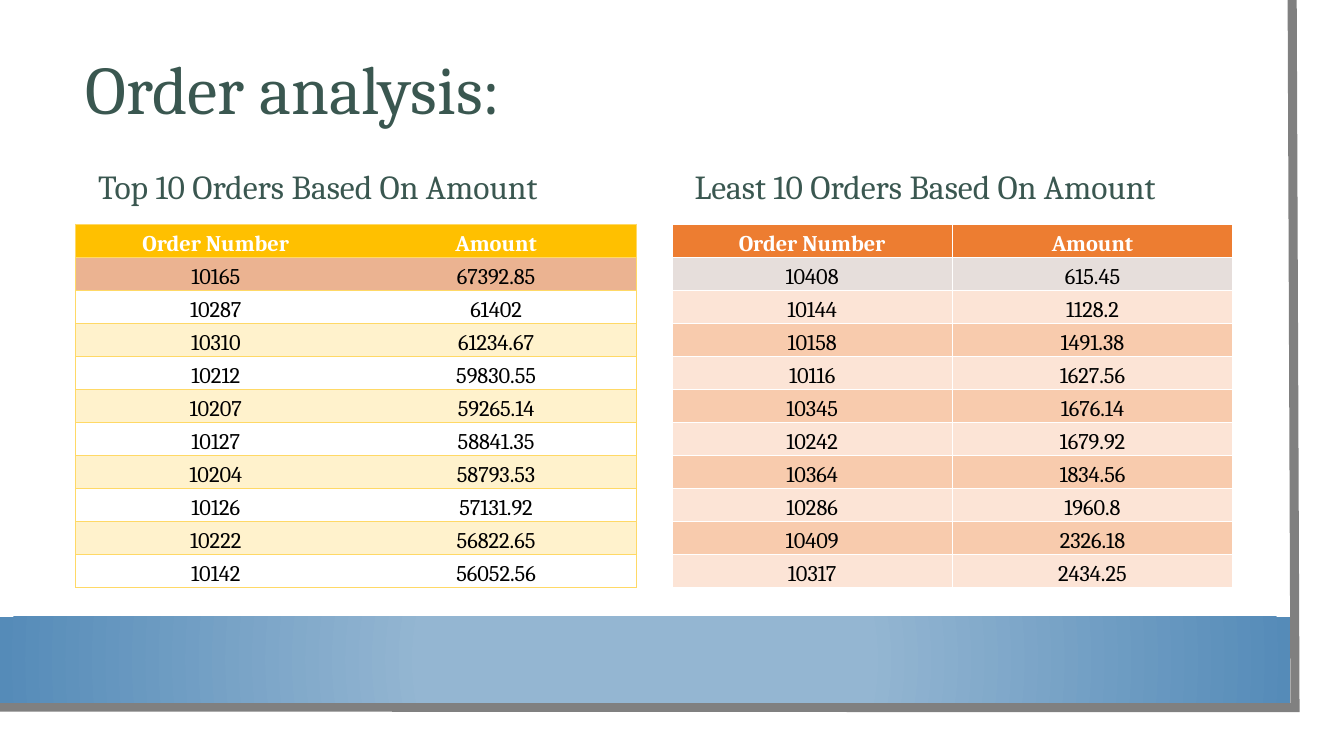
from lxml.etree import SubElement
from pptx import Presentation
from pptx.dml.color import RGBColor
from pptx.enum.shapes import MSO_SHAPE
from pptx.enum.text import MSO_ANCHOR, PP_ALIGN
from pptx.oxml.ns import qn
from pptx.util import Pt

FONT = "Cambria"
INK = "3A5750"
TOP_ORDERS = [
    ("10165", "67392.85"), ("10287", "61402"), ("10310", "61234.67"),
    ("10212", "59830.55"), ("10207", "59265.14"), ("10127", "58841.35"),
    ("10204", "58793.53"), ("10126", "57131.92"), ("10222", "56822.65"),
    ("10142", "56052.56"),
]
LEAST_ORDERS = [
    ("10408", "615.45"), ("10144", "1128.2"), ("10158", "1491.38"),
    ("10116", "1627.56"), ("10345", "1676.14"), ("10242", "1679.92"),
    ("10364", "1834.56"), ("10286", "1960.8"), ("10409", "2326.18"),
    ("10317", "2434.25"),
]
# Each palette: header, first row, even rows, odd rows, rules, column divider
TOP_COLOURS = ("FFC000", "EBB391", None, "FFF2CC", "FFD966", None)
LEAST_COLOURS = ("ED7D31", "E6DEDB", "FCE4D6", "F8CBAD", "FFFFFF", "FFFFFF")


def colour(code):
    return RGBColor.from_string(code)


def paint(fill, code):
    """Fill with a colour, or leave clear when there is none."""
    if code is None:
        fill.background()
    else:
        fill.solid()
        fill.fore_color.rgb = colour(code)


def style(paragraph, size, code, bold=False):
    font = paragraph.font
    font.name, font.size, font.bold = FONT, Pt(size), bold
    font.color.rgb = colour(code)


def add_rectangle(slide, left, top, width, height):
    rectangle = slide.shapes.add_shape(
        MSO_SHAPE.RECTANGLE, Pt(left), Pt(top), Pt(width), Pt(height))
    rectangle.shadow.inherit = False
    rectangle.line.fill.background()
    return rectangle


def add_frame(slide, width, height):
    """White sheet with a grey edge and a blue band along its foot."""
    sheet = add_rectangle(slide, 0, 0, width, height)
    paint(sheet.fill, "FFFFFF")

    outline = slide.shapes.build_freeform(Pt(width - 20), 0)
    outline.add_line_segments(
        [(Pt(width - 18), Pt(height - 18)), (Pt(-2), Pt(height - 18.5))],
        close=False)
    edge = outline.convert_to_shape()
    edge.shadow.inherit = False
    edge.fill.background()
    edge.line.width = Pt(6.5)
    edge.line.color.rgb = colour("808080")
    SubElement(edge.line.fill._xPr, qn("a:miter"), lim="800000")

    band = add_rectangle(slide, 0, height - 82.8, width - 21.6, 61.2)
    band.fill.gradient()
    for stop, (position, code) in zip(
            band.fill.gradient_stops, [(0.34, "94B6D2"), (1, "558BB8")]):
        stop.position = position
        stop.color.rgb = colour(code)
    gradient = band._element.spPr.find(qn("a:gradFill"))
    gradient.remove(gradient.find(qn("a:lin")))
    circle = SubElement(gradient, qn("a:path"), path="circle")
    SubElement(circle, qn("a:fillToRect"),
               l="50000", t="50000", r="50000", b="50000")


def add_heading(slide, text, left, top, width, height, size, anchor):
    frame = slide.shapes.add_textbox(
        Pt(left), Pt(top), Pt(width), Pt(height)).text_frame
    frame.word_wrap = True
    frame.vertical_anchor = anchor
    heading = frame.paragraphs[0]
    heading.text = text
    heading.line_spacing = 0.9
    style(heading, size, INK)


def add_border(cell, side, code):
    properties = cell._tc.get_or_add_tcPr()
    border = SubElement(properties, qn(f"a:ln{side}"), w=str(Pt(0.5)))
    if code is None:
        SubElement(border, qn("a:noFill"))
    else:
        solid = SubElement(border, qn("a:solidFill"))
        SubElement(solid, qn("a:srgbClr"), val=code)


def add_orders_table(slide, orders, palette, left, top, width, height):
    header, first, even, odd, rule, divider = palette
    rows = [("Order Number", "Amount")] + orders
    table = slide.shapes.add_table(
        len(rows), 2, Pt(left), Pt(top), Pt(width), Pt(height)).table
    for row, values in enumerate(rows):
        table.rows[row].height = Pt(height / len(rows))
        row_fill = {0: header, 1: first}.get(row, odd if row % 2 else even)
        for column, value in enumerate(values):
            cell = table.cell(row, column)
            add_border(cell, "L", divider if column else rule)
            add_border(cell, "R", rule if column else divider)
            add_border(cell, "T", rule)
            add_border(cell, "B", rule)
            paint(cell.fill, row_fill)
            cell.margin_left = cell.margin_right = cell.margin_top = Pt(0.7)
            cell.margin_bottom = 0
            cell.vertical_anchor = MSO_ANCHOR.BOTTOM
            entry = cell.text_frame.paragraphs[0]
            entry.text = value
            entry.alignment = PP_ALIGN.CENTER
            style(entry, 16, "000000" if row else "FFFFFF", bold=row == 0)


def add_orders_panel(slide, title, orders, palette, left, top, width, height):
    """Heading over its table of orders."""
    add_heading(slide, title, left + 9, top, width - 17, 40.3, 24,
                MSO_ANCHOR.BOTTOM)
    add_orders_table(slide, orders, palette, left, top + 49, width, height - 49)


def main():
    presentation = Presentation()
    presentation.slide_width, presentation.slide_height = Pt(960), Pt(540)
    slide = presentation.slides.add_slide(presentation.slide_layouts[6])
    add_frame(slide, 943, 523.5)
    add_heading(slide, "Order analysis:", 54, 39.6, 818.6, 53.3, 48.6,
                MSO_ANCHOR.MIDDLE)
    panels = [
        ("Top 10 Orders Based On Amount", TOP_ORDERS, TOP_COLOURS),
        ("Least 10 Orders Based On Amount", LEAST_ORDERS, LEAST_COLOURS),
    ]
    for index, (title, orders, palette) in enumerate(panels):
        add_orders_panel(slide, title, orders, palette,
                         54 + 426 * index, 110.9, 400.5, 309)
    presentation.save("out.pptx")


if __name__ == "__main__":
    main()
